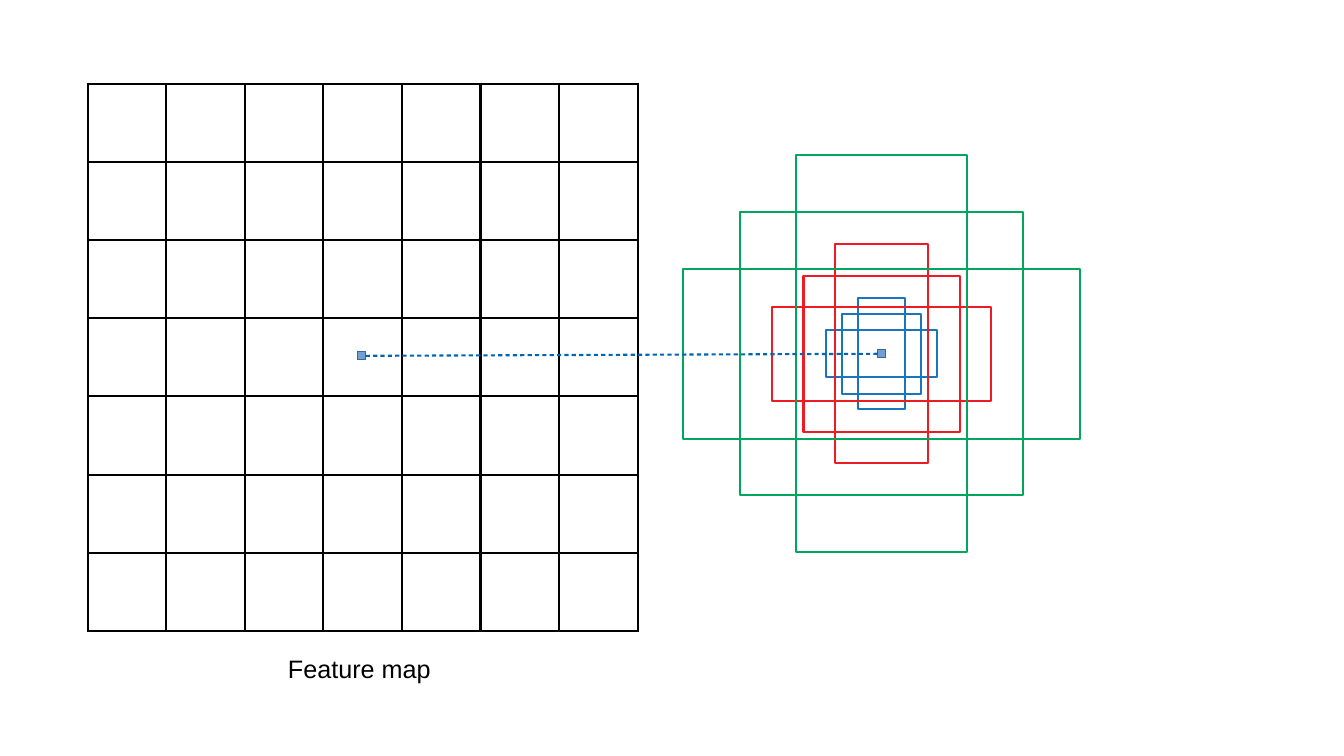
import pptx
import pptx.dml.color
import pptx.enum.shapes
import pptx.enum.text
import pptx.oxml
import pptx.oxml.ns
import pptx.util

Inches, Pt = pptx.util.Inches, pptx.util.Pt
RGBColor = pptx.dml.color.RGBColor

BLACK = RGBColor(0x00, 0x00, 0x00)
BLUE = RGBColor(0x1B, 0x75, 0xBC)
RED = RGBColor(0xED, 0x1C, 0x24)
GREEN = RGBColor(0x00, 0xA6, 0x5D)
LINK_BLUE = RGBColor(0x00, 0x66, 0xB3)
MARKER_FILL = RGBColor(0x72, 0x9F, 0xCF)
MARKER_LINE = RGBColor(0x34, 0x65, 0xA4)

CAPTION = "Feature map"
CAPTION_BOX = (2.76, 6.46, 1.75, 0.38)
GRID_COUNT = 7
GRID_BOX = (0.87, 0.83, 5.46, 5.43)
GRID_LINE = 1.7
CELL_CENTER = (3.59, 3.53)
ANCHOR_CENTER = (8.75, 3.51)
MARKER_SIZE = 0.08
# Colour, square side, long side and short side of each anchor scale
ANCHOR_SCALES = [
    (BLUE, 0.79, 1.1, 0.47),
    (RED, 1.55, 2.17, 0.93),
    (GREEN, 2.81, 3.94, 1.69),
]
NAMESPACE = pptx.oxml.ns.nsdecls("a")


def add_centered_box(slide, center, width, height, line_color, line_width, fill=None):
    left, top = center[0] - width / 2, center[1] - height / 2
    box = slide.shapes.add_shape(
        pptx.enum.shapes.MSO_SHAPE.RECTANGLE,
        Inches(left), Inches(top), Inches(width), Inches(height))
    box.shadow.inherit = False
    if fill is None:
        box.fill.background()
    else:
        box.fill.solid()
        box.fill.fore_color.rgb = fill
    box.line.color.rgb = line_color
    box.line.width = Pt(line_width)
    return box


def add_marker(slide, center):
    return add_centered_box(slide, center, MARKER_SIZE, MARKER_SIZE,
                            MARKER_LINE, 0, MARKER_FILL)


def set_cell_borders(cell):
    properties = cell._tc.get_or_add_tcPr()
    for position, side in enumerate(("lnL", "lnR", "lnT", "lnB")):
        border = pptx.oxml.parse_xml(
            f'<a:{side} {NAMESPACE} w="{Pt(GRID_LINE)}">'
            f'<a:solidFill><a:srgbClr val="{BLACK}"/></a:solidFill></a:{side}>')
        properties.insert(position, border)


def add_feature_grid(slide):
    frame = slide.shapes.add_table(GRID_COUNT, GRID_COUNT, *map(Inches, GRID_BOX))
    table = frame.table
    table.first_row = table.horz_banding = False
    for cell in table.iter_cells():
        cell.fill.background()
        set_cell_borders(cell)


def add_caption(slide):
    box = slide.shapes.add_textbox(*map(Inches, CAPTION_BOX))
    box.text_frame.word_wrap = True
    box.text_frame.auto_size = pptx.enum.text.MSO_AUTO_SIZE.NONE
    paragraph = box.text_frame.paragraphs[0]
    paragraph.text = CAPTION
    paragraph.line_spacing = 0.93
    for name, value in {"name": "Arial", "size": Pt(18)}.items():
        setattr(paragraph.font, name, value)
    paragraph.font.color.rgb = BLACK


def add_link(slide, start, end):
    link = slide.shapes.add_connector(
        pptx.enum.shapes.MSO_CONNECTOR.STRAIGHT, 0, 0, 0, 0)
    link.begin_connect(start, 3)
    link.end_connect(end, 1)
    link.line.color.rgb = LINK_BLUE
    link.line.width = Pt(1.5)
    properties = link._element.spPr
    properties.find(pptx.oxml.ns.qn("a:ln")).append(pptx.oxml.parse_xml(
        f'<a:custDash {NAMESPACE}><a:ds d="200000" sp="150000"/></a:custDash>'))
    properties.append(pptx.oxml.parse_xml(f'<a:effectLst {NAMESPACE}/>'))


def main():
    presentation = pptx.Presentation()
    presentation.slide_width = Inches(13.34)
    presentation.slide_height = Inches(7.5)
    slide = presentation.slides.add_slide(presentation.slide_layouts[6])

    for color, side, long_side, short_side in ANCHOR_SCALES:
        for width, height in ((side, side), (short_side, long_side), (long_side, short_side)):
            add_centered_box(slide, ANCHOR_CENTER, width, height, color, 1.5)
    anchor_marker = add_marker(slide, ANCHOR_CENTER)
    add_feature_grid(slide)
    cell_marker = add_marker(slide, CELL_CENTER)
    add_caption(slide)
    add_link(slide, cell_marker, anchor_marker)
    presentation.save("out.pptx")


if __name__ == "__main__":
    main()
